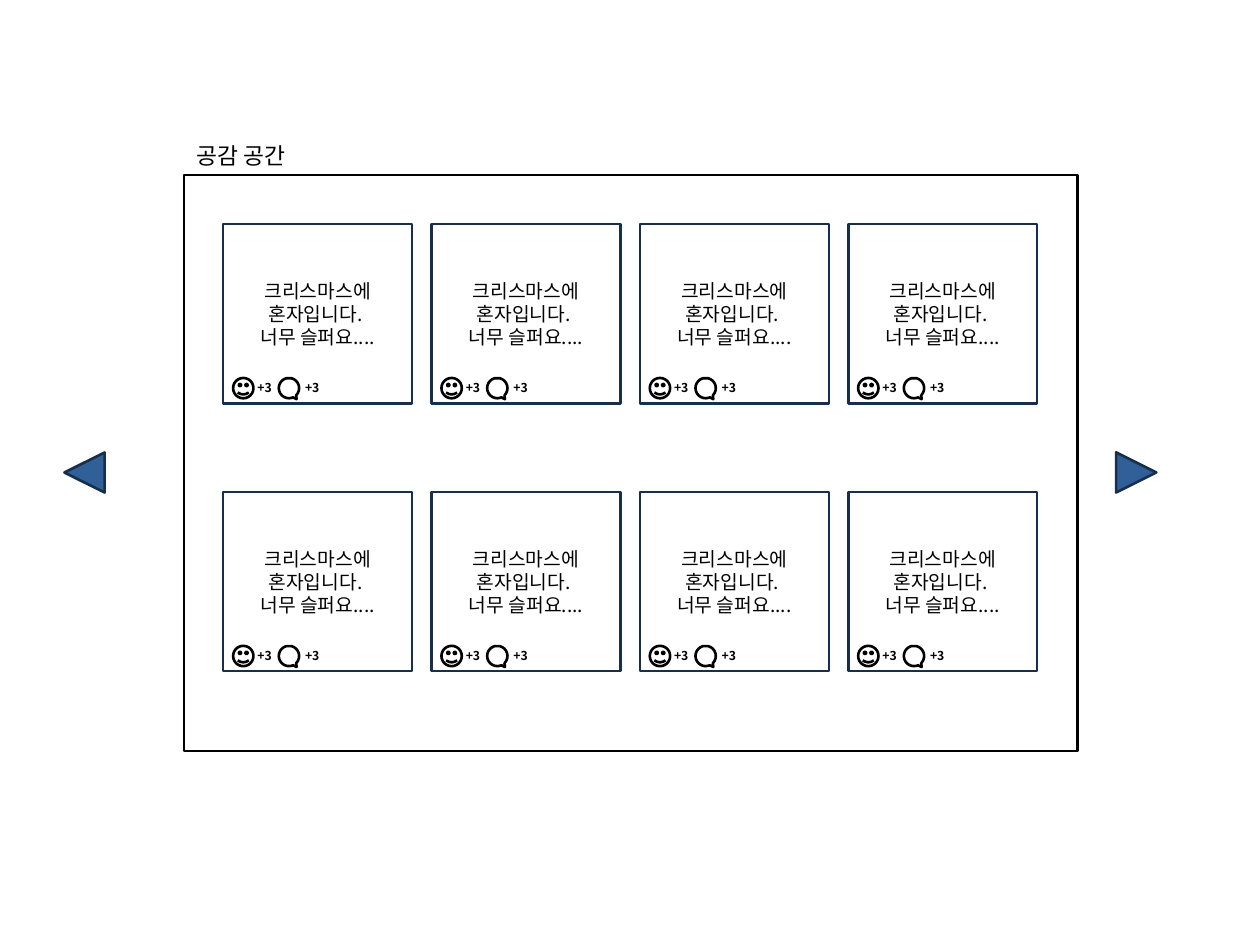
import pptx
import pptx.dml.color
import pptx.enum.shapes
import pptx.enum.text
import pptx.oxml.ns
import pptx.util
from lxml import etree

Cm = pptx.util.Cm
Pt = pptx.util.Pt
RGB = pptx.dml.color.RGBColor
Kind = pptx.enum.shapes.MSO_SHAPE
Align = pptx.enum.text.PP_ALIGN

BLACK = RGB(0x00, 0x00, 0x00)
WHITE = RGB(0xFF, 0xFF, 0xFF)
BLUE = RGB(0x31, 0x5F, 0x97)
NAVY = RGB(0x18, 0x2F, 0x4B)
FONT = "Noto Sans CJK KR"


def draw(host, kind, left, top, wide, high, fill, line):
    shape = host.add_shape(kind, Cm(left), Cm(top), Cm(wide), Cm(high))
    shape.shadow.inherit = False
    if fill is None:
        shape.fill.background()
    else:
        shape.fill.solid()
        shape.fill.fore_color.rgb = fill
    shape.line.color.rgb = line
    shape.line.width = Pt(1.5)
    return shape


def write(host, lines, left, top, wide, high, size, bold=False, align=Align.LEFT):
    box = host.add_textbox(Cm(left), Cm(top), Cm(wide), Cm(high))
    frame = box.text_frame
    frame.word_wrap = True
    frame.auto_size = pptx.enum.text.MSO_AUTO_SIZE.SHAPE_TO_FIT_TEXT
    frame.text = "\n".join(lines)
    for para in frame.paragraphs:
        para.alignment = align
        font = para.font
        font.name = FONT
        font.size = Pt(size)
        font.bold = bold
        font.color.rgb = BLACK
        # Korean glyphs take the East Asian typeface
        props = para._p.pPr.find(pptx.oxml.ns.qn("a:defRPr"))
        asian = etree.SubElement(props, pptx.oxml.ns.qn("a:ea"))
        asian.set("typeface", FONT)


deck = pptx.Presentation()
deck.slide_width = Cm(25.4)
deck.slide_height = Cm(19.05)
slide = deck.slides.add_slide(deck.slide_layouts[6])
shapes = slide.shapes

# Board and its title
draw(shapes, Kind.RECTANGLE, 3.71, 3.53, 18.01, 11.61, None, BLACK)
write(shapes, ["공감 공간"], 3.71, 2.74, 2.5, 0.81, 13)

# Page arrows
for left, turn in ((1.3, 270), (22.5, 90)):
    arrow = draw(shapes, Kind.ISOSCELES_TRIANGLE, left, 9.12, 0.81, 0.81, BLUE, NAVY)
    arrow.rotation = turn

# Cards: two rows of four
for row in range(2):
    for col in range(4):
        left = 4.5 + col * 4.2
        top = 4.52 + row * 5.4
        card = shapes.add_group_shape().shapes
        draw(card, Kind.RECTANGLE, left, top, 3.81, 3.61, WHITE, NAVY)
        write(card, ["크리스마스에 혼자입니다. ", "너무 슬퍼요...."],
              left, top + 0.98, 3.81, 1.64, 11, align=Align.CENTER)

        # Reactions and comments
        bubble = draw(card, Kind.OVAL_CALLOUT, left + 1.12, top + 3.1,
                      0.41, 0.41, WHITE, BLACK)
        bubble.rotation = 343.9
        bubble.element.spPr.xfrm.set("flipH", "1")
        draw(card, Kind.SMILEY_FACE, left + 0.2, top + 3.1, 0.41, 0.41, WHITE, BLACK)
        for shift in (0.44, 1.4):
            write(card, ["+3"], left + shift, top + 3.02, 0.81, 0.53, 7, bold=True)

deck.save("out.pptx")
